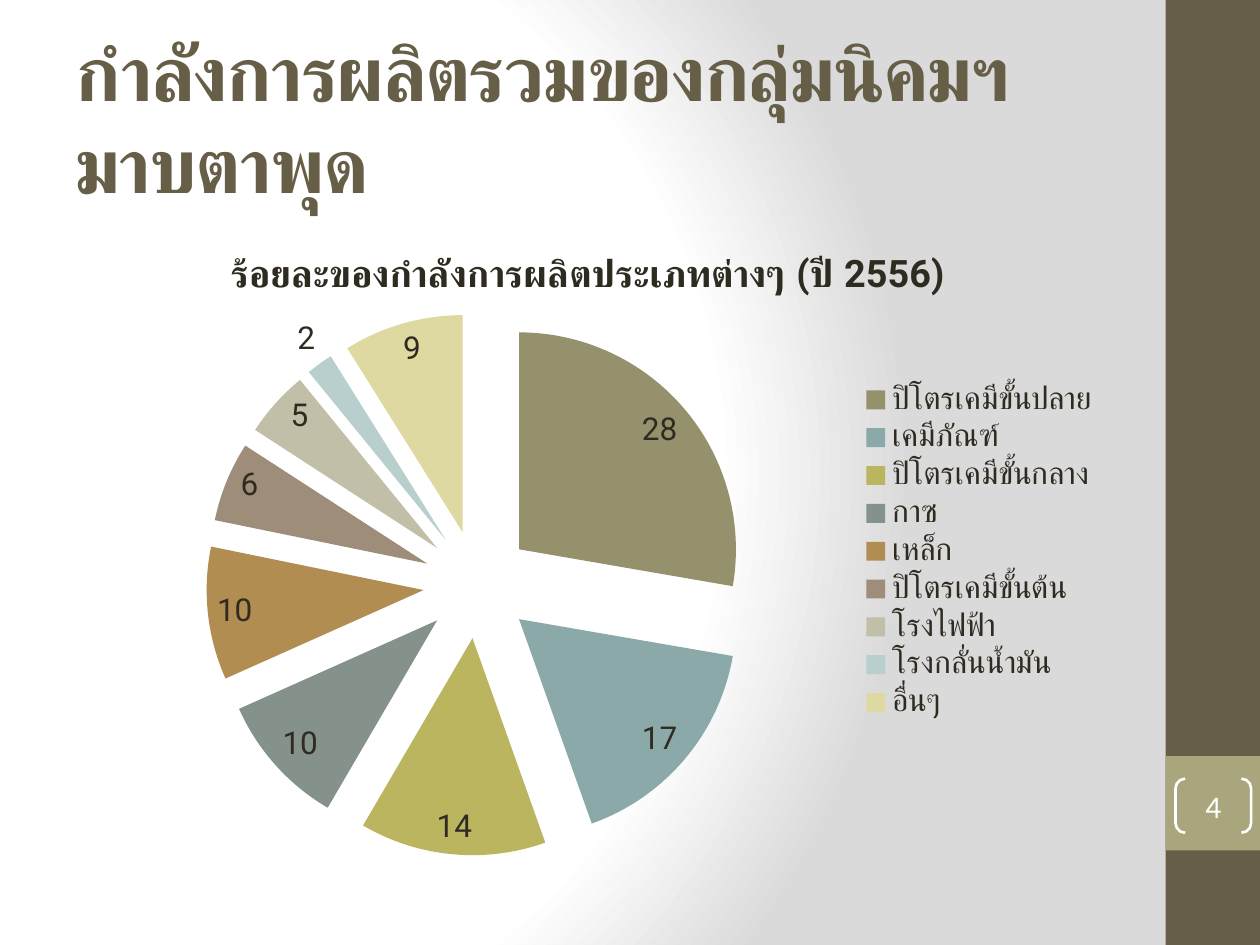
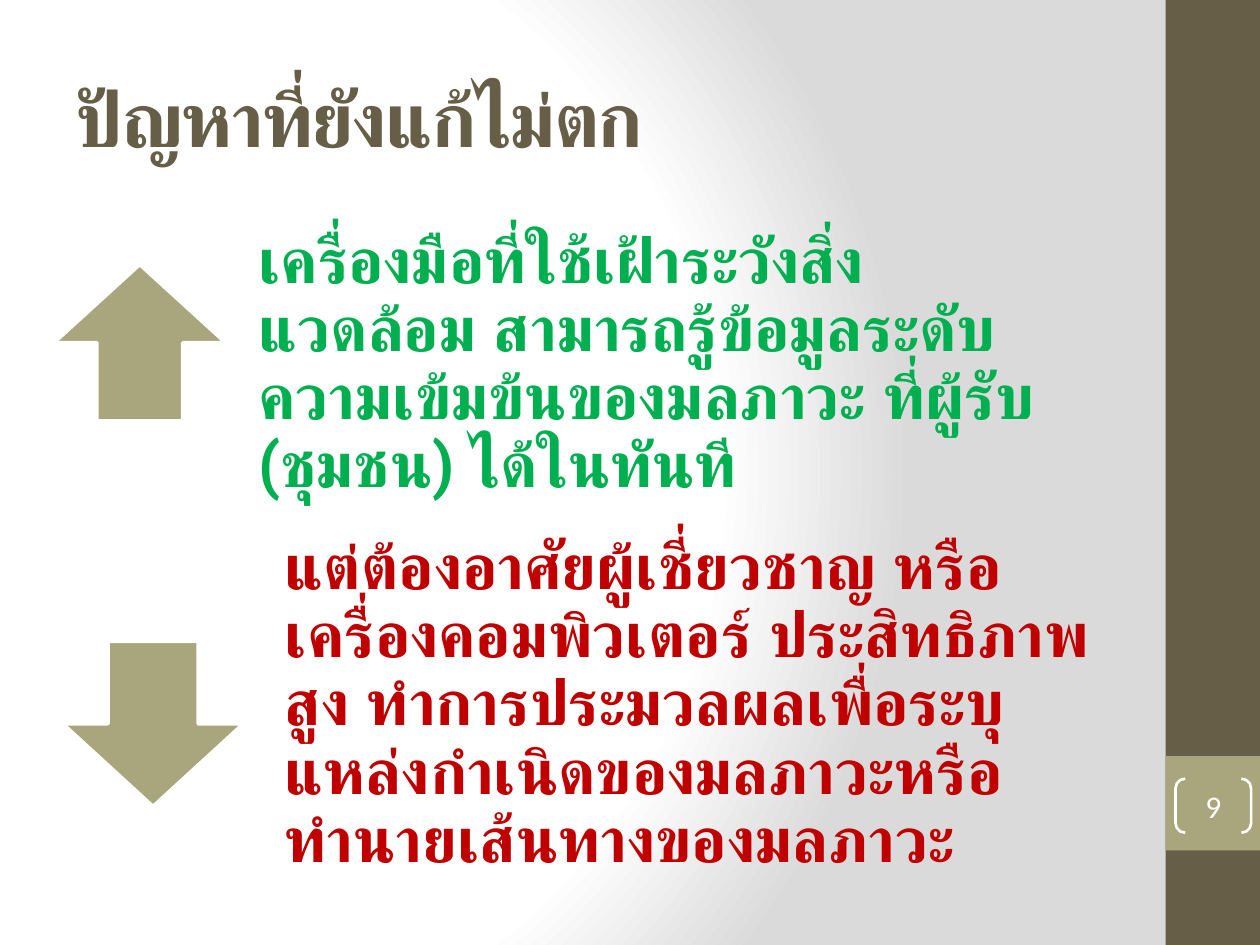
import pptx
import pptx.chart.data
import pptx.dml.color
import pptx.enum.chart
import pptx.enum.shapes
import pptx.enum.text
import pptx.oxml
import pptx.oxml.ns
import pptx.util

Inches = pptx.util.Inches
Pt = pptx.util.Pt
SHAPE = pptx.enum.shapes.MSO_SHAPE
ALIGN = pptx.enum.text.PP_ALIGN
qn = pptx.oxml.ns.qn

COLORS = {
    "brown": "675E47", "khaki": "A9A57C", "white": "FFFFFF", "grey": "DADADA",
    "ink": "2F2B20", "green": "00B050", "red": "C00000",
}
FONT = "Roboto"
CAPACITY = [
    ("ปิโตรเคมีขั้นปลาย", 28, "96916D"),
    ("เคมีภัณฑ์", 17, "8BA9A9"),
    ("ปิโตรเคมีขั้นกลาง", 14, "BBB55F"),
    ("กาซ", 10, "85918B"),
    ("เหล็ก", 10, "B28D52"),
    ("ปิโตรเคมีขั้นต้น", 6, "9D8D79"),
    ("โรงไฟฟ้า", 5, "C2BFA8"),
    ("โรงกลั่นน้ำมัน", 2, "B9CFCE"),
    ("อื่นๆ", 9, "DED9A0"),
]


def rgb(hex_color):
    return pptx.dml.color.RGBColor.from_string(hex_color)


def style_font(font, size, color, bold=False, name=FONT):
    font.size = Pt(size)
    font.bold = bold
    font.name = name
    font.color.rgb = rgb(color)


def write_text(sp, text, size=18, color=COLORS["ink"], bold=False, name=FONT,
               align=ALIGN.LEFT, insets=(0.1, 0.05, 0.1, 0.05),
               line_spacing=None, tracking=None):
    """Fill a shape with one paragraph; insets are left, top, right, bottom."""
    tf = sp.text_frame
    tf.word_wrap = True
    tf.vertical_anchor = pptx.enum.text.MSO_ANCHOR.MIDDLE
    (tf.margin_left, tf.margin_top,
     tf.margin_right, tf.margin_bottom) = map(Inches, insets)
    p = tf.paragraphs[0]
    p.alignment = align
    if line_spacing:
        p.line_spacing = line_spacing
    r = p.add_run()
    r.text = text
    style_font(r.font, size, color, bold, name)
    if tracking:
        r.font._element.set("spc", str(tracking * 100))


def add_text(s, box, text, **text_format):
    sp = s.shapes.add_textbox(*map(Inches, box))
    write_text(sp, text, **text_format)


def add_shape(s, kind, box, fill=None, line=None, width=1):
    sp = s.shapes.add_shape(kind, *map(Inches, box))
    sp.shadow.inherit = False
    if fill:
        sp.fill.solid()
        sp.fill.fore_color.rgb = rgb(fill)
    else:
        sp.fill.background()
    if line:
        sp.line.color.rgb = rgb(line)
        sp.line.width = Pt(width)
    else:
        sp.line.fill.background()
    return sp


def set_background(s):
    """Radial fade from white at the left to grey at the right."""
    s.background.fill.gradient()
    grad = s.element.find(".//" + qn("a:gradFill"))
    stops = "".join(
        f'<a:gs pos="{pos * 1000}"><a:srgbClr val="{COLORS[color]}"/></a:gs>'
        for pos, color in ((0, "white"), (75, "white"), (100, "grey")))
    radial = pptx.oxml.parse_xml(
        f'<a:gradFill {pptx.oxml.ns.nsdecls("a")} rotWithShape="1">'
        f'<a:gsLst>{stops}</a:gsLst><a:path path="circle">'
        '<a:fillToRect l="20000" t="50000" r="100000" b="50000"/>'
        '</a:path></a:gradFill>')
    grad.getparent().replace(grad, radial)


def add_base_slide(prs, title, number):
    s = prs.slides.add_slide(prs.slide_layouts[6])
    set_background(s)
    add_shape(s, SHAPE.RECTANGLE, (9.25, 0, 0.75, 7.5), COLORS["brown"])
    add_shape(s, SHAPE.RECTANGLE, (9.25, 6, 0.75, 0.75), COLORS["khaki"])
    add_text(s, (0.5, 0.3, 8.33, 1.25), title, size=44,
             color=COLORS["brown"], bold=True, tracking=-1)
    sp = add_shape(s, SHAPE.DOUBLE_BRACKET, (9.33, 6.18, 0.6, 0.43),
                   line=COLORS["white"], width=1.5)
    sp.adjustments[0] = 0.179
    write_text(sp, str(number), color=COLORS["white"], name="Calibri",
               align=ALIGN.CENTER, insets=(0, 0, 0, 0))
    return s


def set_plot_layout(chart, x, y, w, h):
    """Place the inner plot area by fractions of the chart."""
    area = chart.element.find(".//" + qn("c:plotArea"))
    for old in area.findall(qn("c:layout")):
        area.remove(old)
    sizes = "".join(f'<c:{tag} val="{value}"/>' for tag, value in
                    (("x", x), ("y", y), ("w", w), ("h", h)))
    area.insert(0, pptx.oxml.parse_xml(
        f'<c:layout {pptx.oxml.ns.nsdecls("c")}><c:manualLayout>'
        '<c:layoutTarget val="inner"/><c:xMode val="edge"/>'
        f'<c:yMode val="edge"/>{sizes}</c:manualLayout></c:layout>'))


def explode(series, percent):
    explosion = pptx.oxml.parse_xml(
        f'<c:explosion {pptx.oxml.ns.nsdecls("c")} val="{percent}"/>')
    series._element.find(qn("c:tx")).addnext(explosion)


def add_pie(s, box, title, rows):
    data = pptx.chart.data.CategoryChartData()
    data.categories = [label for label, _, _ in rows]
    data.add_series("Series 1", [value for _, value, _ in rows])
    chart = s.shapes.add_chart(pptx.enum.chart.XL_CHART_TYPE.PIE,
                               *map(Inches, box), data).chart
    style_font(chart.font, 18, COLORS["ink"])
    chart.has_title = True
    p = chart.chart_title.text_frame.paragraphs[0]
    r = p.add_run()
    r.text = title
    style_font(r.font, 21.6, COLORS["ink"], bold=True)
    chart.has_legend = True
    chart.legend.position = pptx.enum.chart.XL_LEGEND_POSITION.RIGHT
    chart.legend.include_in_layout = False
    set_plot_layout(chart, 0.02, 0.14, 0.75, 0.82)

    plot = chart.plots[0]
    plot.vary_by_categories = True
    plot.has_data_labels = True
    plot.data_labels.show_value = True
    plot.data_labels.show_percentage = False
    plot.data_labels.position = pptx.enum.chart.XL_LABEL_POSITION.BEST_FIT
    series = plot.series[0]
    explode(series, 25)
    for i, (_, _, color) in enumerate(rows):
        fill = series.points[i].format.fill
        fill.solid()
        fill.fore_color.rgb = rgb(color)


def add_arrow_point(s, arrow, arrow_box, text, text_box, color):
    add_shape(s, arrow, arrow_box, COLORS["khaki"], COLORS["white"], 2)
    add_text(s, text_box, text, size=36, color=color, bold=True,
             insets=(0.28, 0, 0.28, 0.28), line_spacing=0.9)


def main():
    prs = pptx.Presentation()
    prs.slide_width, prs.slide_height = Inches(10), Inches(7.5)

    s = add_base_slide(prs, "กำลังการผลิตรวมของกลุ่มนิคมฯ มาบตาพุด", 4)
    add_pie(s, (0.5, 1.75, 8.33, 5.25),
            "ร้อยละของกำลังการผลิตประเภทต่างๆ (ปี 2556)", CAPACITY)

    s = add_base_slide(prs, "ปัญหาที่ยังแก้ไม่ตก", 9)
    add_arrow_point(
        s, SHAPE.UP_ARROW, (0.43, 2.1, 1.36, 1.24),
        "เครื่องมือที่ใช้เฝ้าระวังสิ่งแวดล้อม สามารถรู้ข้อมูลระดับ"
        "ความเข้มข้นของมลภาวะ ที่ผู้รับ (ชุมชน) ได้ในทันที",
        (1.77, 1.78, 7.07, 2.52), COLORS["green"])
    add_arrow_point(
        s, SHAPE.DOWN_ARROW, (0.5, 5.09, 1.43, 1.31),
        "แต่ต้องอาศัยผู้เชี่ยวชาญ หรือเครื่องคอมพิวเตอร์ ประสิทธิภาพสูง "
        "ทำการประมวลผลเพื่อระบุแหล่งกำเนิดของมลภาวะหรือทำนายเส้นทางของมลภาวะ",
        (1.98, 4.48, 7.12, 2.52), COLORS["red"])

    prs.save("out.pptx")


if __name__ == "__main__":
    main()
